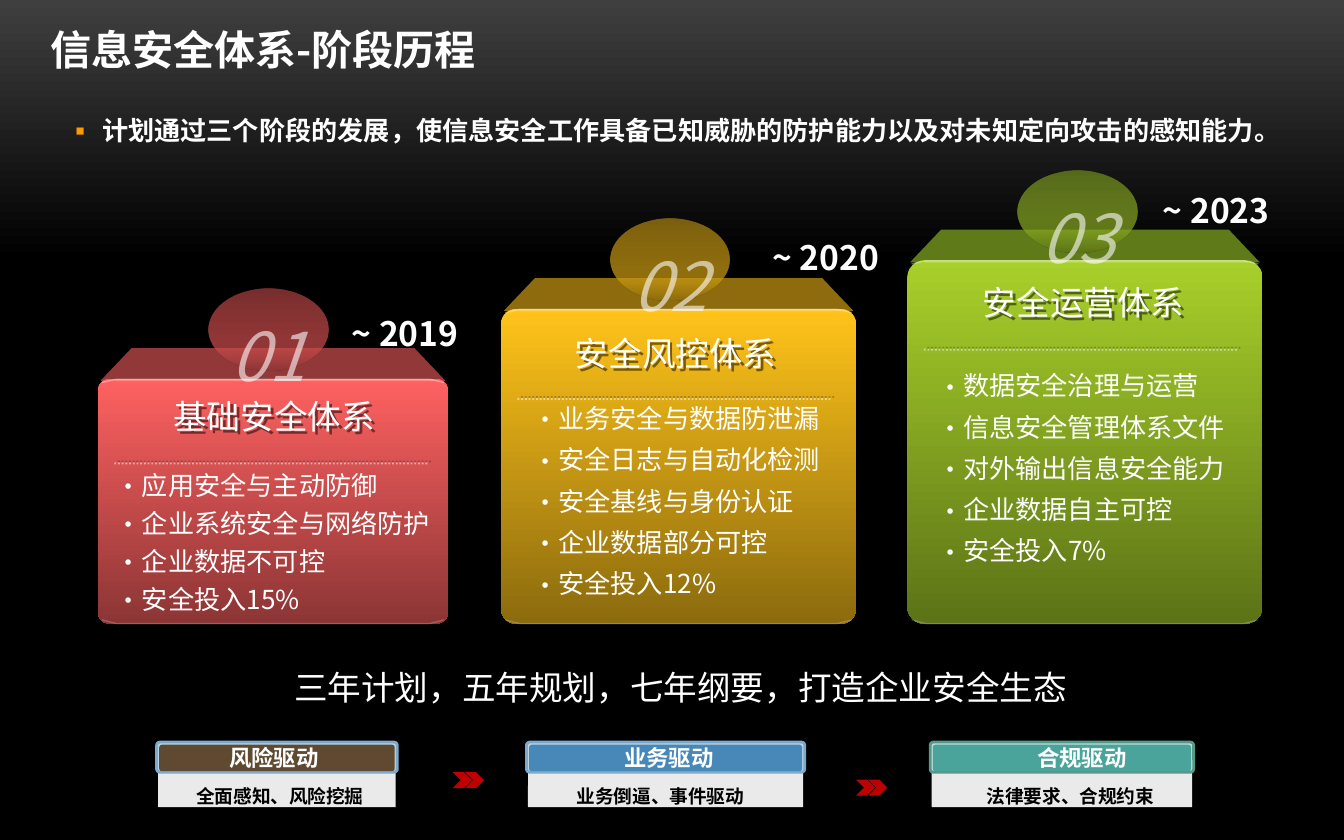
from lxml.etree import SubElement
from pptx import Presentation
from pptx.dml.color import RGBColor as RGB
from pptx.enum.dml import MSO_LINE as Dash
from pptx.enum.shapes import MSO_CONNECTOR as Connector, MSO_SHAPE as Preset
from pptx.enum.text import MSO_ANCHOR as Anchor, PP_ALIGN as Align
from pptx.oxml.ns import qn
from pptx.util import Cm, Pt

# Content (lengths in centimetres)
TITLE = "信息安全体系-阶段历程"
SUMMARY = "计划通过三个阶段的发展，使信息安全工作具备已知威胁的防护能力以及对未知定向攻击的感知能力。"
SLOGAN = "三年计划，五年规划，七年纲要，打造企业安全生态"
STAGES = [
    dict(number="01", name="基础安全体系", year="~ 2019", year_at=(6.27, 5.8),
         left=1.85, top=7.16, width=6.62, knob_center=5.07, name_top=7.37, rule_top=8.76,
         list_at=(1.94, 8.86), spacing=0.8, colors="red",
         items=["应用安全与主动防御", "企业系统安全与网络防护", "企业数据不可控", "安全投入15%"]),
    dict(number="02", name="安全风控体系", year="~ 2020", year_at=(14.22, 4.36),
         left=9.47, top=5.84, width=6.71, knob_center=12.66, name_top=6.17, rule_top=7.54,
         list_at=(9.81, 7.55), spacing=0.9, colors="amber",
         items=["业务安全与数据防泄漏", "安全日志与自动化检测", "安全基线与身份认证",
                "企业数据部分可控", "安全投入12%"]),
    dict(number="03", name="安全运营体系", year="~ 2023", year_at=(21.6, 3.46),
         left=17.15, top=4.92, width=6.71, knob_center=20.37, name_top=5.21, rule_top=6.61,
         list_at=(17.46, 6.93), spacing=0.9, colors="green",
         items=["数据安全治理与运营", "信息安全管理体系文件", "对外输出信息安全能力",
                "企业数据自主可控", "安全投入7%"]),
]
# header, caption, left, width, header centre, caption centre, fill, rim, rim line
DRIVERS = [
    ("风险驱动", "全面感知、风险挖掘", 2.96, 4.55, 5.18, 5.29, "5F4A31", "BCD3E2", "7CA9CE"),
    ("业务驱动", "业务倒逼、事件驱动", 9.95, 5.26, 12.64, 12.48, "4888B8", "BCD3E2", "7CA9CE"),
    ("合规驱动", "法律要求、合规约束", 17.58, 4.98, 20.45, 20.23, "4AA49B", "BCDED5", "559989"),
]
ARROWS = [(8.56, 14.6), (16.18, 14.74)]
STAGE_BOTTOM = 11.79

THEME = dict(
    font="Noto Sans CJK SC", white="FFFFFF", black="000000", shine="F8F8F8",
    number="FCFCFC", panel="EAEAEA", arrow="C00000", bullet="FF9900",
    background=[(0, "3F3F3F", 100), (31, "000000", 100), (100, "000000", 100)],
    # box top, box bottom, lid, knob edge
    red=("FF6161", "8C3535", "933838", "B64545"),
    amber=("FFC319", "8C6B0E", "8E6C0E", "B68B12"),
    green=("A8D02A", "5C7317", "5F7A18", "78951E"),
    title=22, heading=18, body=14, figure=36, driver=12, caption=10,
)

presentation = Presentation()
presentation.slide_width, presentation.slide_height = Cm(25.4), Cm(15.88)
slide = presentation.slides.add_slide(presentation.slide_layouts[6])
shapes = slide.shapes


def set_gradient(element, stops):
    gradient = element.find(".//" + qn("a:gradFill"))
    for child in list(gradient):
        gradient.remove(child)
    stop_list = SubElement(gradient, qn("a:gsLst"))
    for position, color, alpha in stops:
        stop = SubElement(stop_list, qn("a:gs"), pos=str(position * 1000))
        value = SubElement(stop, qn("a:srgbClr"), val=color)
        if alpha < 100:
            SubElement(value, qn("a:alpha"), val=str(alpha * 1000))
    SubElement(gradient, qn("a:lin"), ang="5400000", scaled="0")


def set_alpha(element, alpha):
    SubElement(element.find(".//" + qn("a:srgbClr")), qn("a:alpha"), val=str(alpha * 1000))


def add_shadow(properties, degrees):
    effects = SubElement(properties, qn("a:effectLst"))
    shadow = SubElement(effects, qn("a:outerShdw"), dist=str(Pt(2.2)), dir=str(degrees * 60000))
    SubElement(SubElement(shadow, qn("a:srgbClr"), val=THEME["black"]), qn("a:alpha"), val="50000")


def add_shape(preset, left, top, width, height, fill=None, stops=None,
              corner=None, line=None):
    shape = shapes.add_shape(preset, Cm(left), Cm(top), Cm(width), Cm(height))
    shape.shadow.inherit = False
    if corner is not None:
        shape.adjustments[0] = corner
    if stops:
        shape.fill.gradient()
        set_gradient(shape._element.spPr, stops)
    else:
        shape.fill.solid()
        shape.fill.fore_color.rgb = RGB.from_string(fill)
    if line:
        shape.line.color.rgb = RGB.from_string(line)
        shape.line.width = Pt(1.5)
    else:
        shape.line.fill.background()
    return shape


def add_line(left, right, top, color, width, alpha, dotted=False):
    line = shapes.add_connector(Connector.STRAIGHT, Cm(left), Cm(top), Cm(right), Cm(top))
    line.line.color.rgb = RGB.from_string(color)
    line.line.width = Pt(width)
    properties = line._element.spPr
    set_alpha(properties, alpha)
    if dotted:
        line.line.dash_style = Dash.ROUND_DOT
        add_shadow(properties, 333)
    else:
        SubElement(properties, qn("a:effectLst"))


def add_edge(left, right, outer, inner, color, alpha):
    """Draw a highlight that bends in at both corners."""
    builder = shapes.build_freeform(Cm(left + 0.08), Cm(inner))
    builder.add_line_segments([(Cm(left + 0.35), Cm(outer)), (Cm(right - 0.35), Cm(outer)),
                               (Cm(right - 0.08), Cm(inner))], close=False)
    edge = builder.convert_to_shape()
    edge.shadow.inherit = False
    edge.fill.background()
    edge.line.color.rgb = RGB.from_string(color)
    edge.line.width = Pt(0.75)
    set_alpha(edge._element.spPr, alpha)


def add_text(left, top, width, height, lines, size, color="FFFFFF", bold=False, italic=False,
             align=Align.CENTER, anchor=Anchor.TOP, wrap=True, spacing=None, before=0,
             bullet=None, indent=0, bullet_color=None, alpha=None, shadow=False, margins=None):
    box = shapes.add_textbox(Cm(left), Cm(top), Cm(width), Cm(height))
    if shadow:
        add_shadow(box._element.spPr, 45)
    frame = box.text_frame
    frame.word_wrap, frame.vertical_anchor = wrap, anchor
    if margins:
        (frame.margin_left, frame.margin_top,
         frame.margin_right, frame.margin_bottom) = [Cm(margin) for margin in margins]
    for index, line in enumerate(lines):
        paragraph = frame.paragraphs[0] if index == 0 else frame.add_paragraph()
        paragraph.text, paragraph.alignment = line, align
        if spacing:
            paragraph.line_spacing = spacing
        if index and before:
            paragraph.space_before = Pt(before)
        properties = paragraph._p.get_or_add_pPr()
        if bullet:
            properties.set("marL", str(Cm(indent)))
            properties.set("indent", str(-Cm(indent)))
            if bullet_color:
                SubElement(SubElement(properties, qn("a:buClr")), qn("a:srgbClr"),
                           val=bullet_color)
            SubElement(properties, qn("a:buFont"), typeface=THEME["font"])
            SubElement(properties, qn("a:buChar"), char=bullet)
        font = paragraph.font
        font.name, font.size, font.bold, font.italic = THEME["font"], Pt(size), bold, italic
        font.color.rgb = RGB.from_string(color)
        defaults = properties.find(qn("a:defRPr"))
        if alpha:
            set_alpha(defaults, alpha)
        SubElement(defaults, qn("a:ea"), typeface=THEME["font"])


# Background, title and summary
slide.background.fill.gradient()
set_gradient(slide._element, THEME["background"])
add_text(0.71, 0, 20.35, 1.85, [TITLE], THEME["title"], bold=True,
         align=Align.LEFT, anchor=Anchor.MIDDLE)
add_text(1.02, 1.75, 23.01, 1.22, [SUMMARY], THEME["body"], bold=True, align=Align.LEFT,
         spacing=1.5, bullet="▪", indent=0.66, bullet_color=THEME["bullet"])

# Stages: box, lid, knob and texts
for stage in STAGES:
    left, top, width = stage["left"], stage["top"], stage["width"]
    right, knob_center, knob_top = left + width, stage["knob_center"], top - 1.7
    light, dark, lid, knob = THEME[stage["colors"]]
    lid_shape = add_shape(Preset.TRAPEZOID, left + 0.05, top - 0.58, width - 0.1, 0.62, lid)
    lid_shape.adjustments[0] = 0.95
    add_shape(Preset.ROUNDED_RECTANGLE, left, top, width, STAGE_BOTTOM - top,
              stops=[(0, light, 100), (100, dark, 100)], corner=0.048)
    add_line(left + 0.33, right - 0.28, top + 0.03, THEME["shine"], 0.75, 25)
    add_edge(left, right, top + 0.01, top + 0.07, THEME["shine"], 40)
    add_edge(left, right, STAGE_BOTTOM, STAGE_BOTTOM - 0.07, THEME["white"], 20)
    add_shape(Preset.OVAL, knob_center - 1.13, knob_top, 2.26, 1.55,
              stops=[(0, knob, 65), (50, light, 55), (100, dark, 90)])
    add_text(knob_center - 1.5, knob_top + 0.36, 3, 0.86, [stage["number"]],
             THEME["figure"], THEME["number"], italic=True, alpha=60)
    add_text(knob_center - 2.58, stage["name_top"], 5.38, 1.02, [stage["name"]],
             THEME["heading"], shadow=True)
    add_line(left + 0.31, left + 6.23, stage["rule_top"], THEME["white"], 1, 50, dotted=True)
    add_text(*stage["list_at"], 6.58, 3.07, stage["items"], THEME["body"], align=Align.LEFT,
             spacing=stage["spacing"], before=7, bullet="•", indent=0.33)
    add_text(*stage["year_at"], 2.77, 1.02, [stage["year"]], THEME["heading"],
             bold=True, wrap=False)

# Slogan
add_text(2.47, 12.48, 20.78, 1.02, [SLOGAN], THEME["heading"])

# Drivers: panel, rimmed header and texts
for header, caption, left, width, header_center, caption_center, fill, rim, line in DRIVERS:
    block = Preset.ROUNDED_RECTANGLE
    add_shape(block, left + 0.03, 14.55, width - 0.06, 0.71, THEME["panel"], corner=0.015)
    add_shape(block, left, 14.03, width, 0.57, rim, corner=0.106, line=line)
    add_shape(block, left + 0.05, 14.08, width - 0.1, 0.5, fill, corner=0.1)
    add_text(header_center - 1.23, 14.06, 2.46, 0.51, [header], THEME["driver"], bold=True,
             anchor=Anchor.MIDDLE, margins=(0, 0, 0, 0))
    add_text(caption_center - 2.2, 14.48, 4.4, 0.94, [caption], THEME["caption"],
             THEME["black"], bold=True, spacing=1.5, margins=(0.15, 0.15, 0.15, 0.13))

# Double chevrons between drivers
for left, top in ARROWS:
    for step in range(2):
        add_shape(Preset.CHEVRON, left + step * 0.23, top, 0.36, 0.3, THEME["arrow"])

presentation.save("out.pptx")
